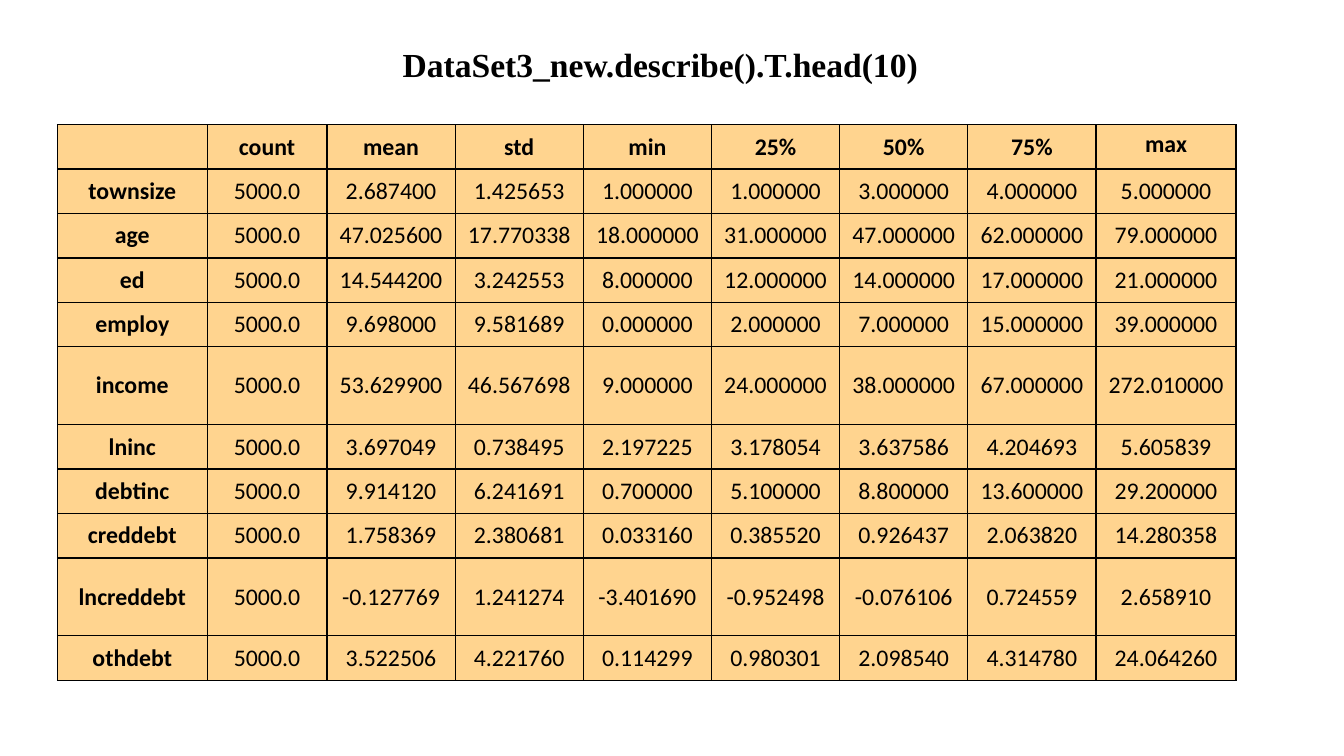
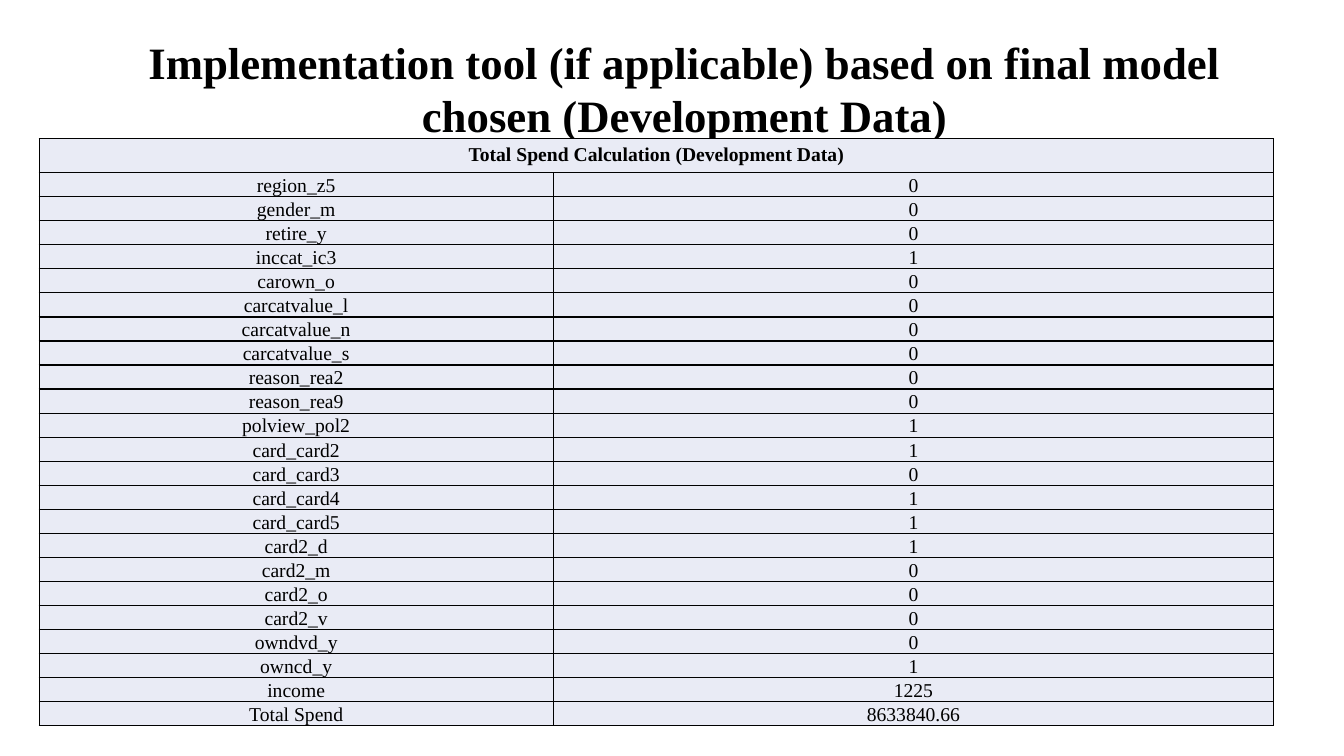
from lxml import etree
from pptx import Presentation
from pptx.dml.color import RGBColor
from pptx.enum import text as t
from pptx.oxml import ns
from pptx.util import Cm, Pt

BLACK = RGBColor(0x00, 0x00, 0x00)
ORANGE = RGBColor(0xFF, 0xD4, 0x8F)
LAVENDER = RGBColor(0xE9, 0xEB, 0xF5)
SERIF = "Times New Roman"
SANS = "Calibri"


def write(tf, text, font=SERIF, size=14, bold=False):
    """Put one centred black paragraph into a text frame."""
    tf.word_wrap = True
    p = tf.paragraphs[0]
    p.alignment = t.PP_ALIGN.CENTER
    p.space_before = Pt(0)
    r = p.add_run()
    r.text = text
    r.font.name, r.font.size, r.font.bold = font, Pt(size), bold
    r.font.color.rgb = BLACK


def add_grid(slide, rows, left, top, widths, heights, fill):
    """Add a table, sized in cm, with one fill and thin black borders."""
    frame = slide.shapes.add_table(len(rows), len(widths), Cm(left), Cm(top),
                                   Cm(sum(widths)), Cm(sum(heights)))
    table = frame.table
    table.first_row = table.horz_banding = False
    for column, width in zip(table.columns, widths):
        column.width = Cm(width)
    for row, height in zip(table.rows, heights):
        row.height = Cm(height)
    for cell in table.iter_cells():
        tcPr = cell._tc.get_or_add_tcPr()
        for side in ("a:lnL", "a:lnR", "a:lnT", "a:lnB"):
            ln = etree.SubElement(tcPr, ns.qn(side), w=str(Pt(1)))
            line_fill = etree.SubElement(ln, ns.qn("a:solidFill"))
            etree.SubElement(line_fill, ns.qn("a:srgbClr"), val=str(BLACK))
        cell.fill.solid()
        cell.fill.fore_color.rgb = fill
    return table


prs = Presentation()
prs.slide_width, prs.slide_height = Cm(33.87), Cm(19.05)

# Slides and titles: text, size, left, top, width, height
titles = [
    ("DataSet3_new.describe().T.head(10)", 24, 2.29, 0.99, 28.7, 1.27),
    ("Implementation tool (if applicable) based on final model chosen "
     "(Development Data)", 32, 2.03, 0.74, 30.45, 3),
]
for text, size, left, top, width, height in titles:
    s = prs.slides.add_slide(prs.slide_layouts[5])
    sp = s.shapes.title
    sp.left, sp.top, sp.width, sp.height = Cm(left), Cm(top), Cm(width), Cm(height)
    sp.text_frame.auto_size = t.MSO_AUTO_SIZE.NONE
    sp.text_frame.vertical_anchor = t.MSO_ANCHOR.TOP
    write(sp.text_frame, text, size=size, bold=True)
summary_slide, tool_slide = prs.slides

# Summary statistics
headings = ["", "count", "mean", "std", "min", "25%", "50%", "75%", "max"]
statistics = [
    "townsize 5000.0 2.687400 1.425653 1.000000 1.000000 3.000000 4.000000 5.000000",
    "age 5000.0 47.025600 17.770338 18.000000 31.000000 47.000000 62.000000 79.000000",
    "ed 5000.0 14.544200 3.242553 8.000000 12.000000 14.000000 17.000000 21.000000",
    "employ 5000.0 9.698000 9.581689 0.000000 2.000000 7.000000 15.000000 39.000000",
    "income 5000.0 53.629900 46.567698 9.000000 24.000000 38.000000 67.000000 272.010000",
    "lninc 5000.0 3.697049 0.738495 2.197225 3.178054 3.637586 4.204693 5.605839",
    "debtinc 5000.0 9.914120 6.241691 0.700000 5.100000 8.800000 13.600000 29.200000",
    "creddebt 5000.0 1.758369 2.380681 0.033160 0.385520 0.926437 2.063820 14.280358",
    "lncreddebt 5000.0 -0.127769 1.241274 -3.401690 -0.952498 -0.076106 0.724559 2.658910",
    "othdebt 5000.0 3.522506 4.221760 0.114299 0.980301 2.098540 4.314780 24.064260",
]
summary = [headings] + [line.split() for line in statistics]
heights = [1.96 if row[0] in ("income", "lncreddebt") else 1.12 for row in summary]
table = add_grid(summary_slide, summary, 1.45, 3.14,
                 [3.77, 3.02] + [3.23] * 6 + [3.53], heights, ORANGE)
for i, row in enumerate(summary):
    for j, value in enumerate(row):
        cell = table.cell(i, j)
        write(cell.text_frame, value, font=SANS, size=17, bold=i == 0 or j == 0)
        cell.vertical_anchor = (t.MSO_ANCHOR.TOP if value == "max"
                                else t.MSO_ANCHOR.MIDDLE)

# Total spend calculation
spend = [
    ("Total Spend Calculation (Development Data)", ""),
    ("region_z5", "0"), ("gender_m", "0"), ("retire_y", "0"),
    ("inccat_ic3", "1"), ("carown_o", "0"), ("carcatvalue_l", "0"),
    ("carcatvalue_n", "0"), ("carcatvalue_s", "0"), ("reason_rea2", "0"),
    ("reason_rea9", "0"), ("polview_pol2", "1"), ("card_card2", "1"),
    ("card_card3", "0"), ("card_card4", "1"), ("card_card5", "1"),
    ("card2_d", "1"), ("card2_m", "0"), ("card2_o", "0"), ("card2_v", "0"),
    ("owndvd_y", "0"), ("owncd_y", "1"), ("income", "1225"),
    ("Total Spend", "8633840.66"),
]
items = len(spend) - 1
table = add_grid(tool_slide, spend, 0.99, 3.5, [12.95, 18.16],
                 [0.85] + [13.96 / items] * items, LAVENDER)
table.cell(0, 0).merge(table.cell(0, 1))
write(table.cell(0, 0).text_frame, spend[0][0], bold=True)
for i, row in enumerate(spend[1:], 1):
    for j, value in enumerate(row):
        cell = table.cell(i, j)
        write(cell.text_frame, value)
        cell.vertical_anchor = t.MSO_ANCHOR.BOTTOM
        cell.margin_left = cell.margin_right = cell.margin_top = Cm(0.03)
        cell.margin_bottom = 0

prs.save("out.pptx")
